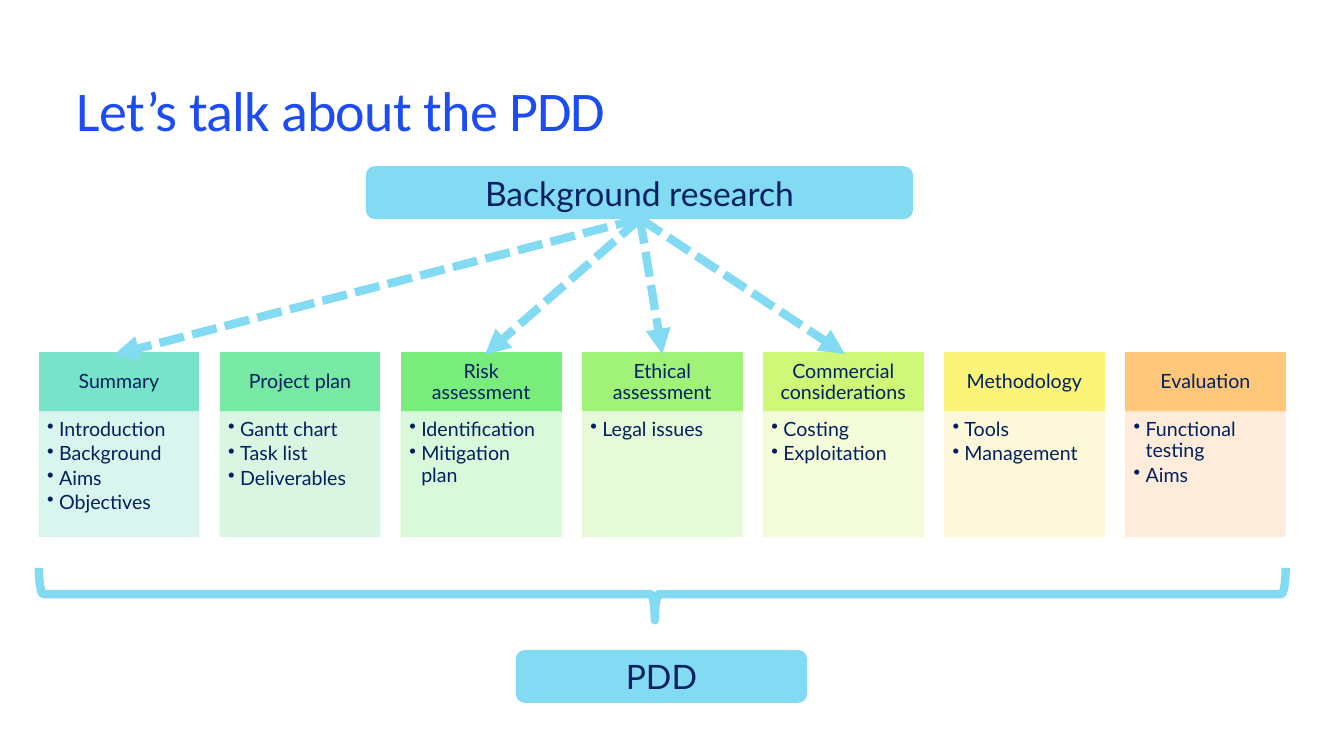
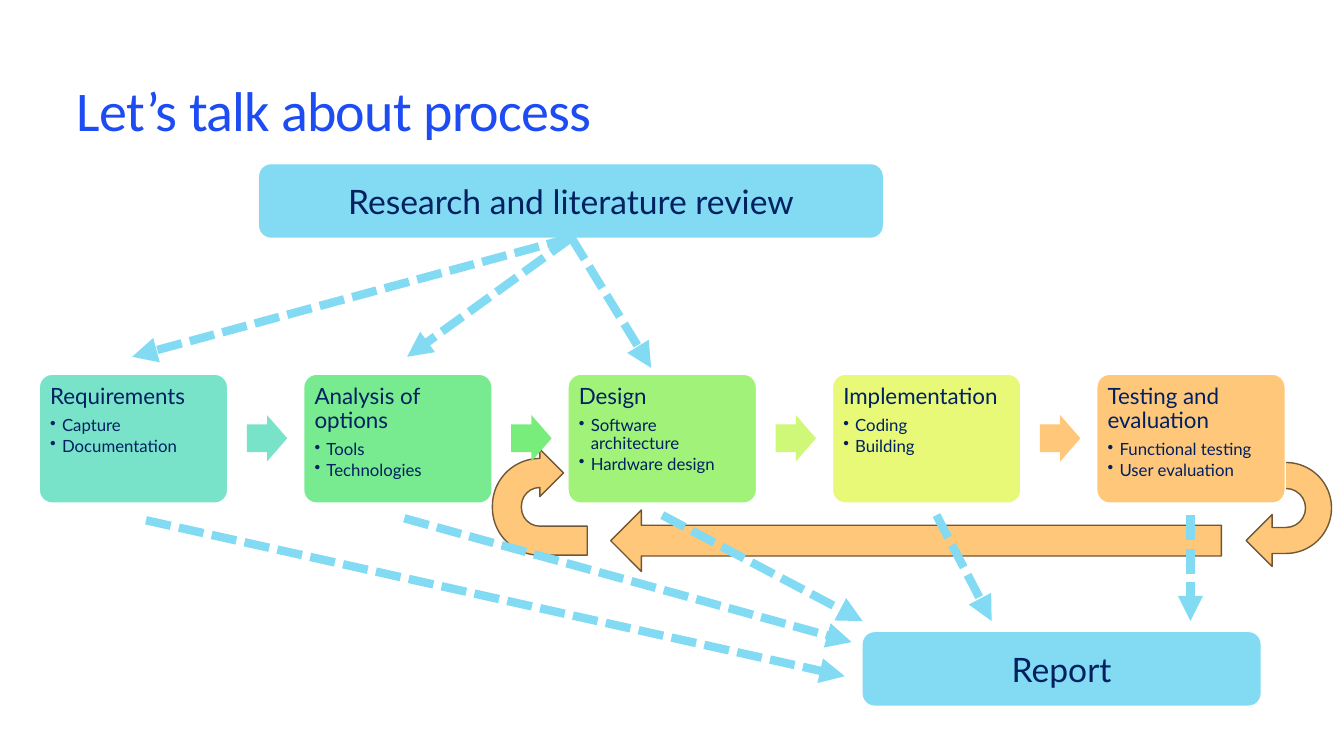
"""Build two slides on the parts of a PDD and the project process."""
from dataclasses import dataclass
from typing import NamedTuple

from lxml import etree
from pptx import Presentation
from pptx import util as u
from pptx.dml.color import RGBColor
from pptx.enum import dml, shapes, text
from pptx.oxml import ns

Shape = shapes.MSO_SHAPE
Align = text.PP_ALIGN
Anchor = text.MSO_ANCHOR


@dataclass(frozen=True)
class Theme:
    title: str = "1D4CF2"
    ink: str = "002060"
    sky: str = "82DAF3"
    orange: str = "FFC779"
    brown: str = "705735"
    white: str = "FFFFFF"
    title_font: str = "Calibri"
    body_font: str = "Lato"
    title_pt: int = 40
    banner_pt: int = 24
    step_pt: int = 16
    card_pt: int = 14
    item_pt: int = 12
    arrow_pt: int = 6
    left: float = 0.99
    right: float = 32.39


class Box(NamedTuple):
    x: float
    y: float
    w: float
    h: float


class Point(NamedTuple):
    x: float
    y: float


class Section(NamedTuple):
    name: str
    items: tuple[str, ...]
    fill: str
    tint: str


class Step(NamedTuple):
    name: str
    items: tuple[str, ...]
    fill: str
    arrow: str | None


THEME = Theme()

SECTIONS = (
    Section("Summary", ("Introduction", "Background", "Aims", "Objectives"), "79E3CA", "D7F4EC"),
    Section("Project plan", ("Gantt chart", "Task list", "Deliverables"), "78E8A5", "D6F6E1"),
    Section("Risk assessment", ("Identification", "Mitigation plan"), "78ED7C", "D7F8D6"),
    Section("Ethical assessment", ("Legal issues",), "A0F278", "E4FAD6"),
    Section("Commercial considerations", ("Costing", "Exploitation"), "CFF778", "F3FCD6"),
    Section("Methodology", ("Tools", "Management"), "FBF478", "FEF8D6"),
    Section("Evaluation", ("Functional testing", "Aims"), THEME.orange, "FFEBD7"),
)

STEPS = (
    Step("Requirements", ("Capture", "Documentation"), "79E3CA", "79E3CA"),
    Step("Analysis of options", ("Tools", "Technologies"), "78EB91", "78ED7C"),
    Step("Design", ("Software architecture", "Hardware design"), "A0F278", "CFF778"),
    Step("Implementation", ("Coding", "Building"), "E8F978", THEME.orange),
    Step("Testing and evaluation", ("Functional testing", "User evaluation"), THEME.orange, None),
)


def columns(count: int, width: float) -> list[float]:
    """Return the left edges of equal columns spread across the content width."""
    pitch = (THEME.right - THEME.left - width) / (count - 1)
    return [THEME.left + i * pitch for i in range(count)]


def add_run(p, words: str, size: int, color: str = THEME.ink, font: str = THEME.body_font):
    """Add one formatted run to a paragraph."""
    r = p.add_run()
    r.text = words
    r.font.size = u.Pt(size)
    r.font.name = font
    r.font.color.rgb = RGBColor.from_string(color)
    return r


def set_frame(tf, anchor, margins: tuple[float, float, float, float]) -> None:
    """Set wrapping, anchor and the left, top, right and bottom margins."""
    tf.word_wrap = True
    tf.auto_size = text.MSO_AUTO_SIZE.NONE
    tf.vertical_anchor = anchor
    tf.margin_left, tf.margin_top, tf.margin_right, tf.margin_bottom = map(u.Cm, margins)


def add_items(tf, items: tuple[str, ...], size: int, start_new: bool) -> None:
    """Add bulleted paragraphs to a text frame."""
    for i, item in enumerate(items):
        p = tf.add_paragraph() if start_new or i else tf.paragraphs[0]
        p.alignment = Align.LEFT
        p.line_spacing = 0.9
        p.space_after = u.Pt(0.15 * size)
        props = p._p.get_or_add_pPr()
        props.set("marL", str(u.Cm(0.3)))
        props.set("indent", str(u.Cm(-0.3)))
        etree.SubElement(props, ns.qn("a:buChar")).set("char", "•")
        add_run(p, item, size)


def add_shape(s, kind, box: Box, fill: str | None, line: str | None = None,
              line_pt: float = 1, adj: tuple[float, ...] = (), rotation: float = 0):
    """Add a flat preset shape."""
    sp = s.shapes.add_shape(kind, *map(u.Cm, box))
    sp.shadow.inherit = False
    sp.rotation = rotation
    for i, value in enumerate(adj):
        sp.adjustments[i] = value
    if fill:
        sp.fill.solid()
        sp.fill.fore_color.rgb = RGBColor.from_string(fill)
    else:
        sp.fill.background()
    if line:
        sp.line.color.rgb = RGBColor.from_string(line)
        sp.line.width = u.Pt(line_pt)
    else:
        sp.line.fill.background()
    return sp


def add_banner(s, words: str, box: Box) -> None:
    """Add a rounded sky-blue box with one centred line."""
    sp = add_shape(s, Shape.ROUNDED_RECTANGLE, box, THEME.sky)
    set_frame(sp.text_frame, Anchor.MIDDLE, (0.25, 0.13, 0.25, 0.13))
    p = sp.text_frame.paragraphs[0]
    p.alignment = Align.CENTER
    add_run(p, words, THEME.banner_pt)


def add_arrow(s, start: Point, end: Point) -> None:
    """Add a thick dashed arrow."""
    cx = s.shapes.add_connector(shapes.MSO_CONNECTOR.STRAIGHT, *map(u.Cm, start + end))
    cx.line.color.rgb = RGBColor.from_string(THEME.sky)
    cx.line.width = u.Pt(THEME.arrow_pt)
    cx.line.dash_style = dml.MSO_LINE.SQUARE_DOT
    etree.SubElement(cx.line._get_or_add_ln(), ns.qn("a:tailEnd")).set("type", "triangle")
    etree.SubElement(cx._element.spPr, ns.qn("a:effectLst"))


def add_slide(prs, title: str):
    """Add a title-only slide with the shared title style."""
    s = prs.slides.add_slide(prs.slide_layouts[5])
    sp = s.shapes.title
    sp.left, sp.top, sp.width, sp.height = map(u.Cm, (1.93, 1.02, 30, 3.68))
    set_frame(sp.text_frame, Anchor.MIDDLE, (0, 0, 0, 0))
    p = sp.text_frame.paragraphs[0]
    p.alignment = Align.LEFT
    p.line_spacing = 0.9
    r = add_run(p, title, THEME.title_pt, THEME.title, THEME.title_font)
    r.font._element.set("spc", "-50")
    return s


def add_section(s, section: Section, x: float) -> None:
    """Add a heading box with its tinted list below."""
    width = 4.02
    head = add_shape(s, Shape.RECTANGLE, Box(x, 8.9, width, 1.48), section.fill, section.fill)
    set_frame(head.text_frame, Anchor.MIDDLE, (0.28, 0.15, 0.28, 0.15))
    p = head.text_frame.paragraphs[0]
    p.alignment = Align.CENTER
    p.line_spacing = 0.9
    add_run(p, section.name, THEME.card_pt)

    body = add_shape(s, Shape.RECTANGLE, Box(x, 10.38, width, 3.14), section.tint, section.tint)
    for color in body._element.spPr.iter(ns.qn("a:srgbClr")):
        etree.SubElement(color, ns.qn("a:alpha")).set("val", "90000")
    set_frame(body.text_frame, Anchor.TOP, (0.2, 0.2, 0.28, 0.3))
    add_items(body.text_frame, section.items, THEME.card_pt, start_new=False)


def add_step(s, step: Step, x: float) -> None:
    """Add a process card and the arrow to the next one."""
    sp = add_shape(s, Shape.ROUNDED_RECTANGLE, Box(x, 9.43, 4.75, 3.25), step.fill,
                   THEME.white, adj=(0.1,))
    set_frame(sp.text_frame, Anchor.TOP, (0.18, 0.18, 0.18, 0.18))
    p = sp.text_frame.paragraphs[0]
    p.alignment = Align.LEFT
    p.line_spacing = 0.9
    p.space_after = u.Pt(0.35 * THEME.step_pt)
    add_run(p, step.name, THEME.step_pt)
    add_items(sp.text_frame, step.items, THEME.item_pt, start_new=True)
    if step.arrow:
        add_shape(s, Shape.RIGHT_ARROW, Box(x + 5.23, 10.46, 1.02, 1.17), step.arrow,
                  adj=(0.6, 0.5))


def build_pdd(prs) -> None:
    """Build the slide on the sections of the PDD."""
    s = add_slide(prs, "Let’s talk about the PDD")
    for section, x in zip(SECTIONS, columns(len(SECTIONS), 4.02)):
        add_section(s, section, x)
    for end in (Point(2.87, 8.94), Point(12.22, 8.94), Point(16.69, 8.92), Point(21.29, 8.92)):
        add_arrow(s, Point(16.13, 5.51), end)
    add_banner(s, "Background research", Box(9.22, 4.19, 13.79, 1.33))
    add_banner(s, "PDD", Box(13, 16.38, 7.34, 1.33))
    add_shape(s, Shape.RIGHT_BRACE, Box(16.03, -0.74, 1.32, 31.42), None, THEME.sky,
              THEME.arrow_pt, (0.083, 0.506), 90)


def build_process(prs) -> None:
    """Build the slide on the process and its feedback loop."""
    s = add_slide(prs, "Let’s talk about process")
    loop = (
        (Shape.U_TURN_ARROW, Box(30.81, 11.53, 2.62, 2.87), (), 90),
        (Shape.U_TURN_ARROW, Box(12.27, 11.46, 2.67, 2.39), (0.306, 0.25, 0.25, 0.5, 0.75), 270),
        (Shape.LEFT_ARROW, Box(15.39, 12.85, 15.39, 1.55), (), 0),
    )
    for kind, box, adj, rotation in loop:
        add_shape(s, kind, box, THEME.orange, THEME.brown, adj=adj, rotation=rotation)
    for step, x in zip(STEPS, columns(len(STEPS), 4.75)):
        add_step(s, step, x)
    for end in (Point(3.33, 8.99), Point(10.26, 8.99), Point(16.41, 9.27)):
        add_arrow(s, Point(14.4, 5.99), end)
    add_banner(s, "Research and literature review", Box(6.53, 4.14, 15.72, 1.85))
    add_banner(s, "Report", Box(21.74, 15.93, 10.03, 1.85))
    report_arrows = (
        (Point(30, 12.98), Point(30, 15.65)),
        (Point(23.6, 12.98), Point(24.99, 15.65)),
        (Point(16.69, 12.98), Point(21.74, 15.65)),
        (Point(10.19, 13.06), Point(21.46, 16.18)),
        (Point(3.68, 13.11), Point(21.29, 17.04)),
    )
    for start, end in report_arrows:
        add_arrow(s, start, end)


def main() -> None:
    """Build and save the presentation."""
    prs = Presentation()
    prs.slide_width, prs.slide_height = u.Cm(33.87), u.Cm(19.05)
    build_pdd(prs)
    build_process(prs)
    prs.save("out.pptx")


if __name__ == "__main__":
    main()
